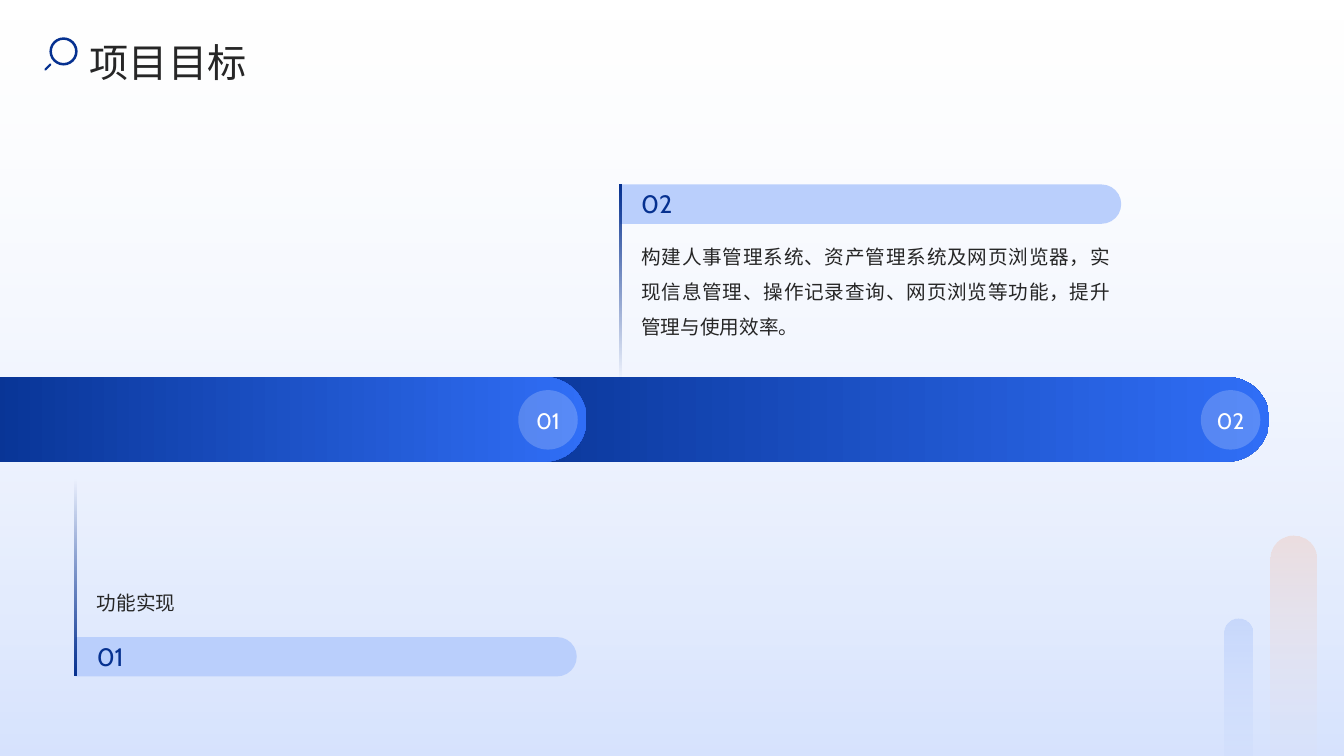
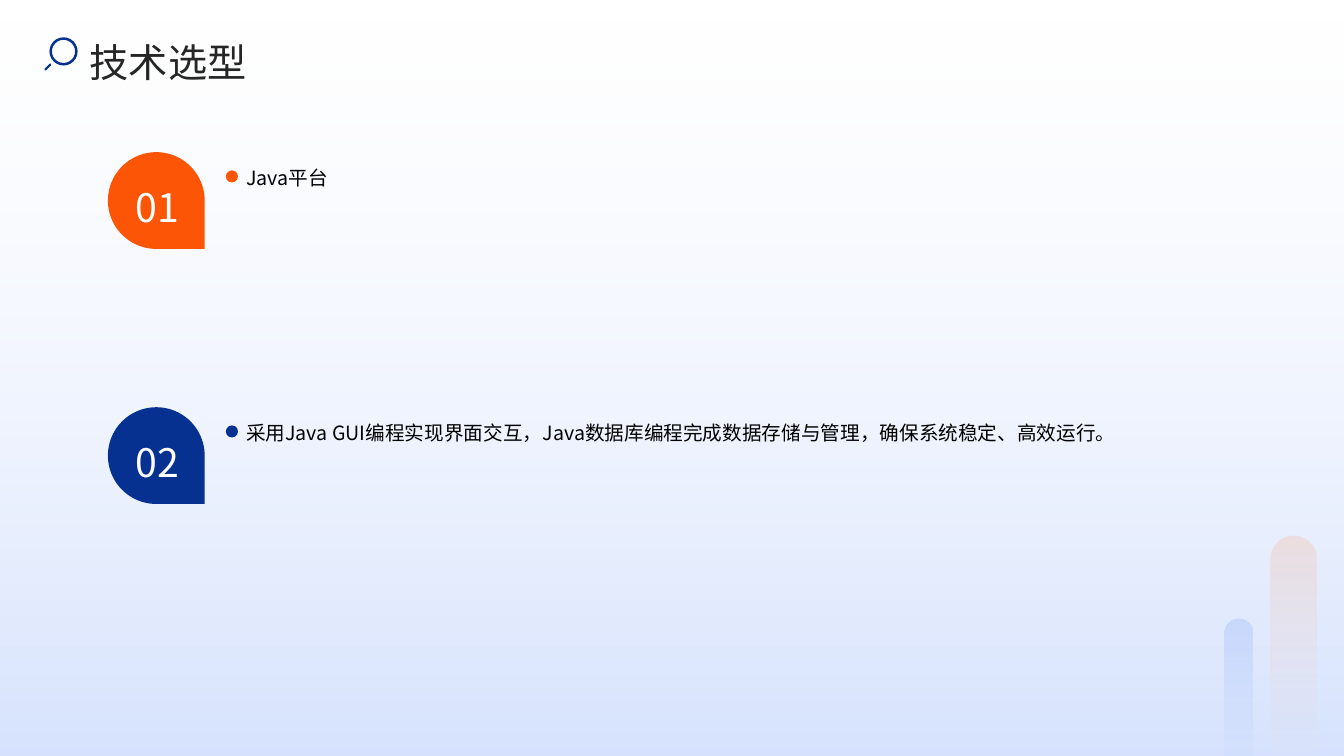
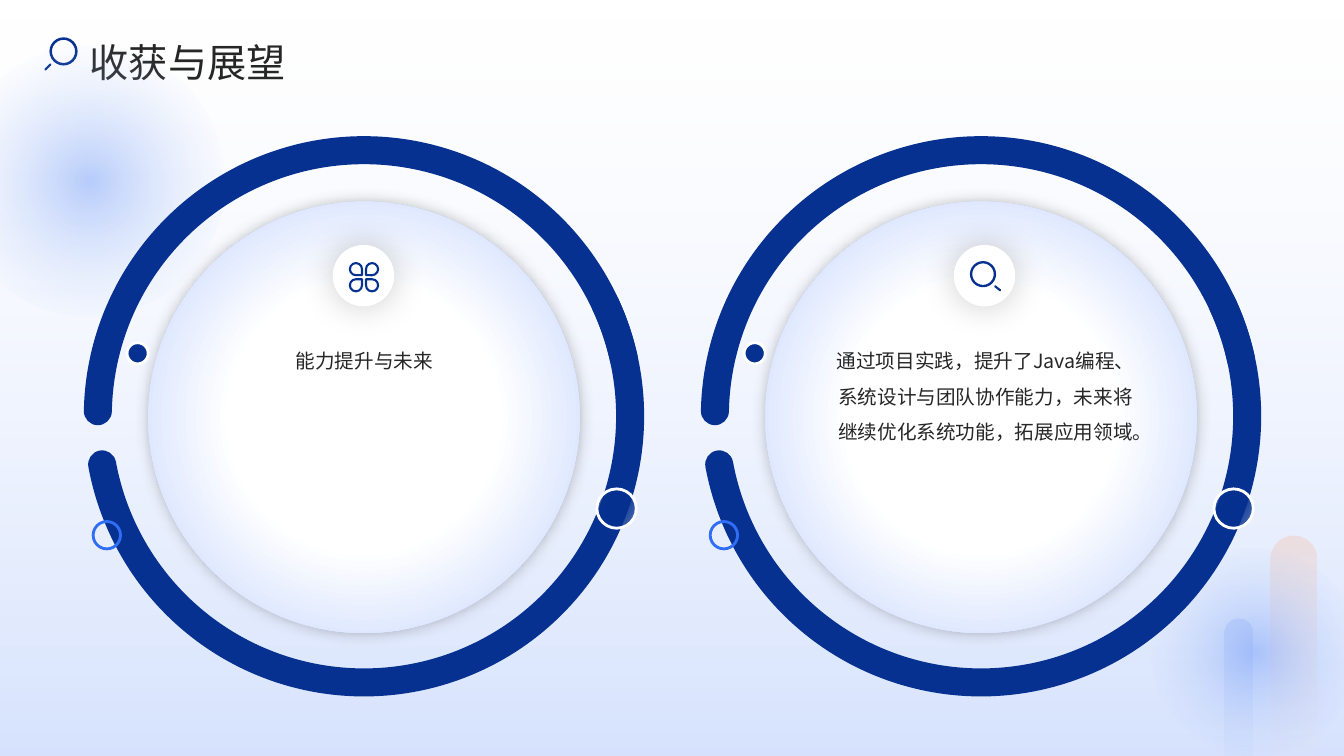
from pptx import Presentation
from pptx.dml.color import RGBColor
from pptx.enum.shapes import MSO_CONNECTOR, MSO_SHAPE as Preset
from pptx.enum.text import MSO_ANCHOR as Anchor, MSO_AUTO_SIZE, PP_ALIGN as Align
from pptx.oxml import parse_xml
from pptx.oxml.ns import nsdecls, qn
from pptx.util import Inches, Pt

NAVY = RGBColor(0x06, 0x31, 0x90)
BLUE = RGBColor(0x30, 0x6E, 0xF6)
SKY = RGBColor(0x75, 0x9E, 0xF9)
PALE = RGBColor(0xBA, 0xCF, 0xFC)
ORANGE = RGBColor(0xFC, 0x55, 0x05)
PEACH = RGBColor(0xFD, 0x99, 0x69)
CREAM = RGBColor(0xFE, 0xDD, 0xCD)
INK = RGBColor(0x26, 0x26, 0x26)
GREY = RGBColor(0x59, 0x59, 0x59)
BLACK = RGBColor(0, 0, 0)
WHITE = RGBColor(0xFF, 0xFF, 0xFF)

SANS, NUMERAL = "Noto Sans CJK SC", "Cabin"
WIDTH, HEIGHT = 13.33, 7.5

# Content
GOALS_TITLE = "项目目标"
GOALS = [  # right-hand stage first, so that the left one overlaps it
    dict(number="02", pill=(4.3, 8.29), side=6.14, bar_top=1.83, rule_top=1.83,
         fade=90, text_top=2.31, anchor=Anchor.TOP,
         text="构建人事管理系统、资产管理系统及网页浏览器，实现信息管理、操作记录查询、"
              "网页浏览等功能，提升管理与使用效率。"),
    dict(number="01", pill=(-0.44, 6.26), side=0.74, bar_top=6.32, rule_top=4.76,
         fade=270, text_top=4.79, anchor=Anchor.BOTTOM, text="功能实现"),
]
CHOICES_TITLE = "技术选型"
CHOICES = [
    ("01", ORANGE, "Java平台"),
    ("02", NAVY, "采用Java GUI编程实现界面交互，Java数据库编程完成数据存储与管理，"
                 "确保系统稳定、高效运行。"),
]
OUTLOOK_TITLE = "收获与展望"
OUTLOOK = [
    "能力提升与未来",
    "通过项目实践，提升了Java编程、系统设计与团队协作能力，未来将继续优化系统功能，"
    "拓展应用领域。",
]


# Drawing helpers
def inches(*values):
    return [Inches(value) for value in values]


def gradient(stops, angle=None):
    """Gradient of (position, colour, opacity) stops; radial when no angle is given."""
    parts = "".join(
        f'<a:gs pos="{position * 1000}"><a:srgbClr val="{colour}">'
        f'<a:alpha val="{opacity * 1000}"/></a:srgbClr></a:gs>'
        for position, colour, opacity in stops)
    if angle is None:
        course = ('<a:path path="circle"><a:fillToRect l="50000" t="50000" '
                  'r="50000" b="50000"/></a:path>')
    else:
        course = f'<a:lin ang="{angle * 60000}" scaled="0"/>'
    return (f'<a:gradFill {nsdecls("a")} rotWithShape="1">'
            f'<a:gsLst>{parts}</a:gsLst>{course}</a:gradFill>')


def draw(page, preset, box, fill=None, opacity=100, line=None, adjust=(),
         rotation=0, shadow=None):
    """Preset shape; fill is a colour or gradient, line is (colour, points)."""
    shape = page.shapes.add_shape(preset, *inches(*box))
    for index, value in enumerate(adjust):
        shape.adjustments[index] = value
    shape.rotation = rotation
    shape.shadow.inherit = False
    properties = shape.element.spPr
    if fill is None:
        shape.fill.background()
    elif isinstance(fill, RGBColor):
        shape.fill.solid()
        shape.fill.fore_color.rgb = fill
        if opacity < 100:
            properties.find(qn("a:solidFill"))[0].append(parse_xml(
                f'<a:alpha {nsdecls("a")} val="{opacity * 1000}"/>'))
    else:
        shape.fill.gradient()
        properties.replace(properties.find(qn("a:gradFill")), parse_xml(fill))
    if line:
        shape.line.color.rgb, shape.line.width = line[0], Pt(line[1])
    else:
        shape.line.fill.background()
    if shadow:
        colour, alpha, blur = shadow
        properties.find(qn("a:effectLst")).append(parse_xml(
            f'<a:outerShdw {nsdecls("a")} blurRad="{Pt(blur)}" dist="0" dir="0" '
            f'algn="ctr" rotWithShape="0"><a:srgbClr val="{colour}">'
            f'<a:alpha val="{alpha * 1000}"/></a:srgbClr></a:outerShdw>'))
    return shape


def round_ends(shape):
    shape.element.spPr.find(qn("a:ln")).set("cap", "rnd")


def write(frame, text, size, colour, font=SANS, align=Align.LEFT,
          anchor=Anchor.TOP, spacing=1.0, margins=(0, 0)):
    side, end = inches(*margins)
    layout = dict(word_wrap=True, auto_size=MSO_AUTO_SIZE.NONE, vertical_anchor=anchor,
                  margin_left=side, margin_right=side, margin_top=end, margin_bottom=end)
    for name, value in layout.items():
        setattr(frame, name, value)
    para = frame.paragraphs[0]
    para.alignment, para.line_spacing = align, spacing
    span = para.add_run()
    span.text = text
    for name, value in dict(name=font, size=Pt(size), bold=False).items():
        setattr(span.font, name, value)
    span.font.color.rgb = colour
    span.font._element.find(qn("a:latin")).addnext(
        parse_xml(f'<a:ea {nsdecls("a")} typeface="{font}"/>'))


def add_text(page, box, text, size, colour, **style):
    write(page.shapes.add_textbox(*inches(*box)).text_frame, text, size, colour, **style)


def magnifier(page, left, top, size, handle):
    draw(page, Preset.DONUT, (left, top, size, size), NAVY, adjust=(0.09,))
    stick = page.shapes.add_connector(MSO_CONNECTOR.STRAIGHT, *inches(*handle))
    stick.line.color.rgb, stick.line.width = NAVY, Pt(1.5)
    round_ends(stick)
    stick.element.spPr.append(parse_xml(f'<a:effectLst {nsdecls("a")}/>'))


def clover(page, left, top):
    petal, step = 0.12, 0.16
    for column, row, rotation in ((0, 0, 90), (1, 0, 180), (0, 1, 0), (1, 1, 270)):
        draw(page, Preset.TEAR, (left + column * step, top + row * step, petal, petal),
             line=(NAVY, 1.5), rotation=rotation)


# Parts shared by all slides
def new_page(deck, title):
    page = deck.slides.add_slide(deck.slide_layouts[5])
    draw(page, Preset.RECTANGLE, (0, 0, WIDTH, HEIGHT),
         gradient([(0, BLUE, 20), (100, PALE, 0)], 270))
    for box, start, end, opacity in (((12.6, 5.31, 0.46, 2.54), PEACH, CREAM, 20),
                                     ((12.15, 6.14, 0.27, 1.95), BLUE, PALE, 15)):
        draw(page, Preset.ROUNDED_RECTANGLE, box,
             gradient([(0, start, opacity), (100, end, 0)], 90), adjust=(0.5,))
    magnifier(page, 0.49, 0.37, 0.28, (0.45, 0.69, 0.5, 0.64))
    heading = page.shapes.title
    heading.left, heading.top, heading.width, heading.height = inches(0.89, 0.24, 11.35, 0.59)
    write(heading.text_frame, title, 28, INK, spacing=1.3)
    page.shapes.element.append(heading.element)  # bring in front of the background
    return page


def build_goals(deck):
    page = new_page(deck, GOALS_TITLE)
    top, height, disc = 3.74, 0.84, 0.59
    bar_width, bar_height, text_width = 4.97, 0.39, 4.65
    for goal in GOALS:
        # Timeline pill with its numbered disc
        left, width = goal["pill"]
        draw(page, Preset.ROUNDED_RECTANGLE, (left, top, width, height),
             gradient([(0, NAVY, 100), (100, BLUE, 100)], 0), adjust=(0.5,))
        disc_left = left + width - 0.68
        draw(page, Preset.OVAL, (disc_left, 3.87, disc, disc), WHITE, opacity=20)
        add_text(page, (disc_left + 0.14, 4.04, 0.31, 0.3), goal["number"], 16, WHITE,
                 font=NUMERAL, align=Align.CENTER)
        # Label bar (a quarter turn puts its round end on the right), rule and text
        side, bar_top = goal["side"], goal["bar_top"]
        turn = (bar_width - bar_height) / 2
        draw(page, Preset.ROUND_2_SAME_RECTANGLE,
             (side + 0.01 + turn, bar_top - turn, bar_height, bar_width), PALE,
             adjust=(0.5, 0), rotation=90)
        draw(page, Preset.RECTANGLE, (side, goal["rule_top"], 0.02, 1.94),
             gradient([(0, NAVY, 100), (100, NAVY, 0)], goal["fade"]))
        text_left = side + 0.22
        add_text(page, (text_left, bar_top + 0.04, text_width, 0.3), goal["number"],
                 18, NAVY, font=NUMERAL)
        add_text(page, (text_left, goal["text_top"], text_width, 1.31), goal["text"],
                 14, INK, align=Align.JUSTIFY, anchor=goal["anchor"], spacing=1.5)


def build_choices(deck):
    page = new_page(deck, CHOICES_TITLE)
    for index, (number, colour, text) in enumerate(CHOICES):
        top = 1.51 + index * 2.53
        add_text(page, (2.44, top + 0.02, 9.81, 1.95), text, 14, BLACK, spacing=1.5)
        draw(page, Preset.OVAL, (2.24, top + 0.18, 0.12, 0.12), colour)
        draw(page, Preset.TEAR, (1.07, top, 0.96, 0.96), colour, rotation=90)
        add_text(page, (1.15, top + 0.23, 0.82, 0.58), number, 28, WHITE,
                 align=Align.CENTER, anchor=Anchor.MIDDLE, spacing=1.1)


def build_outlook(deck):
    page = new_page(deck, OUTLOOK_TITLE)
    # Soft glows
    for left, top, size in ((11.42, 5.44, 2.05), (-0.46, 0.45, 2.69)):
        draw(page, Preset.OVAL, (left, top, size, size),
             gradient([(0, SKY, 50), (76, PALE, 0)]))
    for index, text in enumerate(OUTLOOK):
        left = 0.97 + index * 6.12
        # Ring of two arcs around the plate; angles run clockwise from the right
        for start, end in ((335.1, 169.6), (181.1, 347.6)):
            arc = draw(page, Preset.ARC, (left, 1.49, 5.28, 5.28), line=(NAVY, 20),
                       adjust=(start * 0.6, end * 0.6))
            round_ends(arc)
        draw(page, Preset.OVAL, (left + 0.5, 2, 4.28, 4.28),
             gradient([(44, WHITE, 100), (100, PALE, 100)]), shadow=(GREY, 40, 10))
        # Beads on the ring
        draw(page, Preset.DONUT, (left - 0.06, 5.16, 0.3, 0.3), BLUE, adjust=(0.095,))
        draw(page, Preset.OVAL, (left + 4.95, 4.85, 0.39, 0.39),
             gradient([(0, NAVY, 50), (50, NAVY, 100), (100, NAVY, 50)], 90),
             line=(WHITE, 2), rotation=119.4)
        draw(page, Preset.OVAL, (left + 0.29, 3.4, 0.21, 0.21), NAVY, line=(WHITE, 2))
        # Icon and text
        inner = index * 6.16
        draw(page, Preset.OVAL, (3.3 + inner, 2.43, 0.61, 0.61), WHITE,
             shadow=(BLACK, 20, 25))
        if index == 0:
            clover(page, 3.47, 2.61)
        else:
            magnifier(page, 9.62, 2.59, 0.26, (9.87, 2.84, 9.92, 2.88))
        add_text(page, (2.03 + inner, 3.3, 3.17, 2.25), text, 14, INK,
                 align=Align.CENTER, spacing=1.5, margins=(0.1, 0.05))


def main():
    deck = Presentation()
    deck.slide_width, deck.slide_height = inches(WIDTH, HEIGHT)
    build_goals(deck)
    build_choices(deck)
    build_outlook(deck)
    deck.save("out.pptx")


if __name__ == "__main__":
    main()
